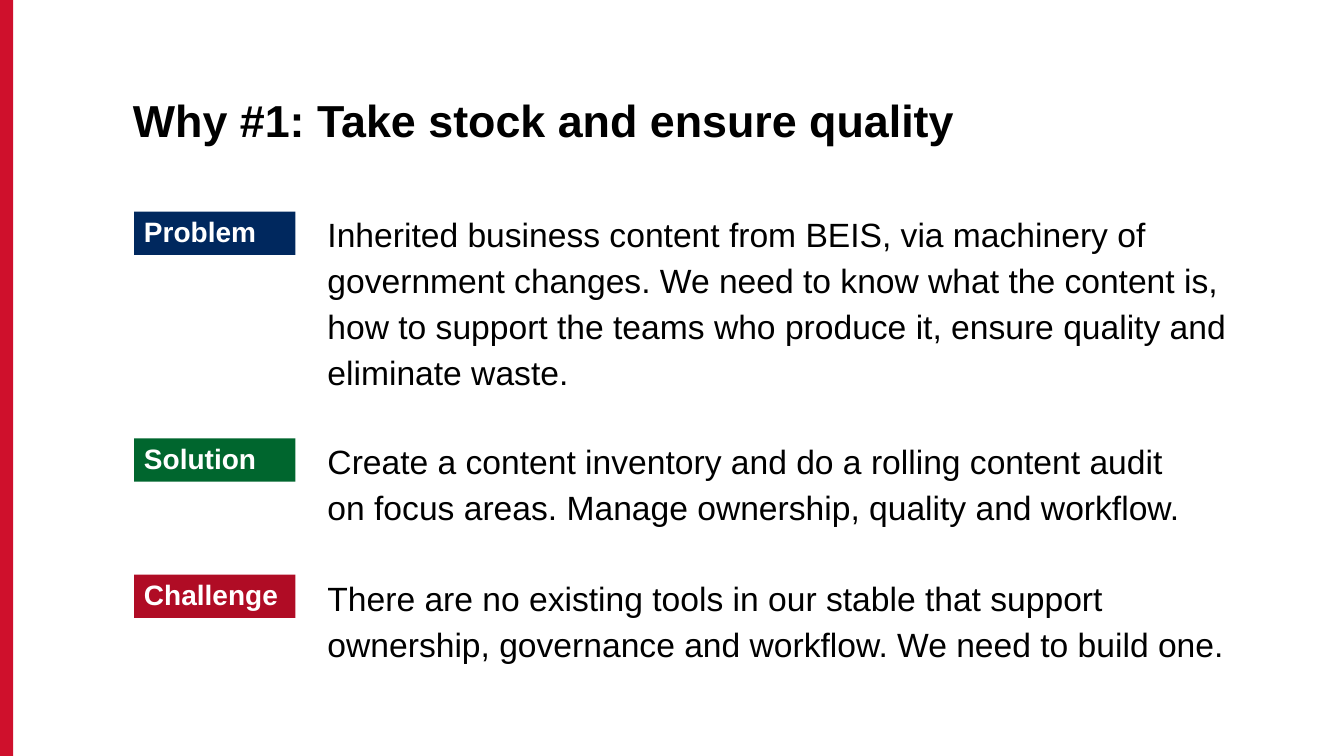
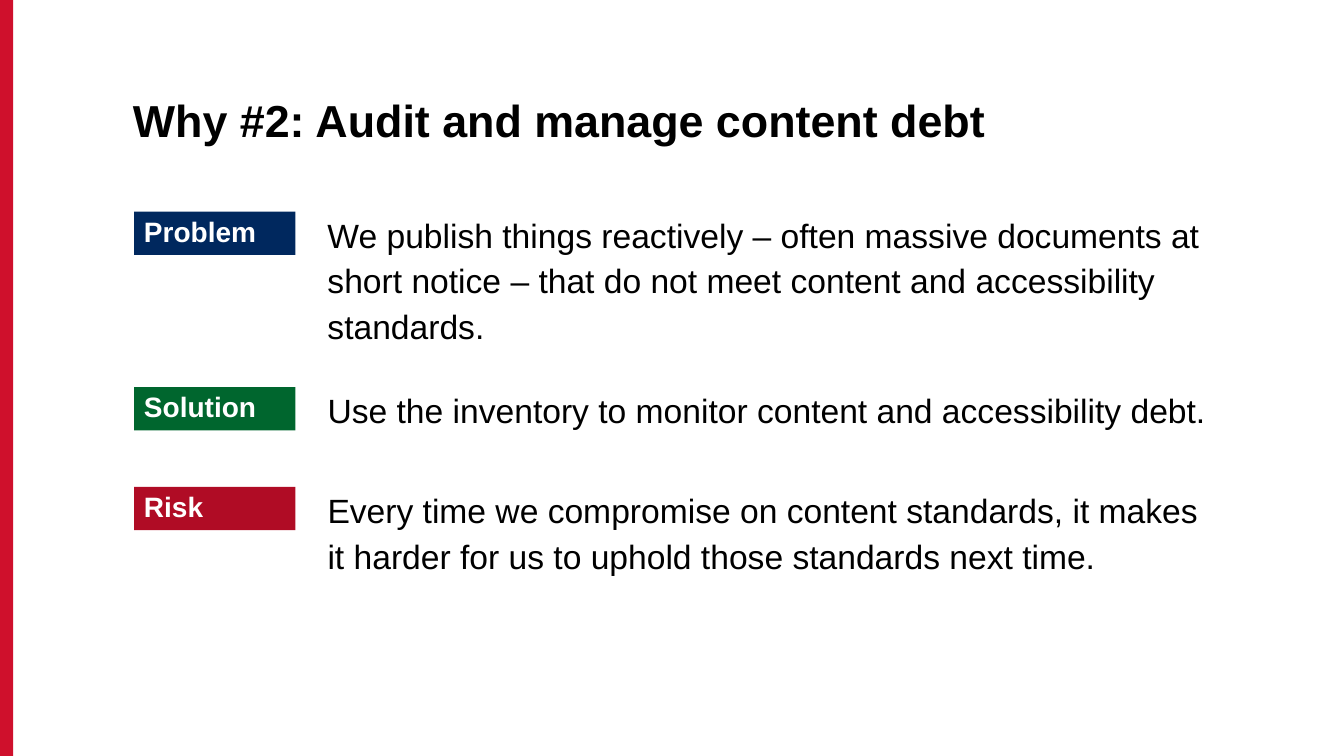
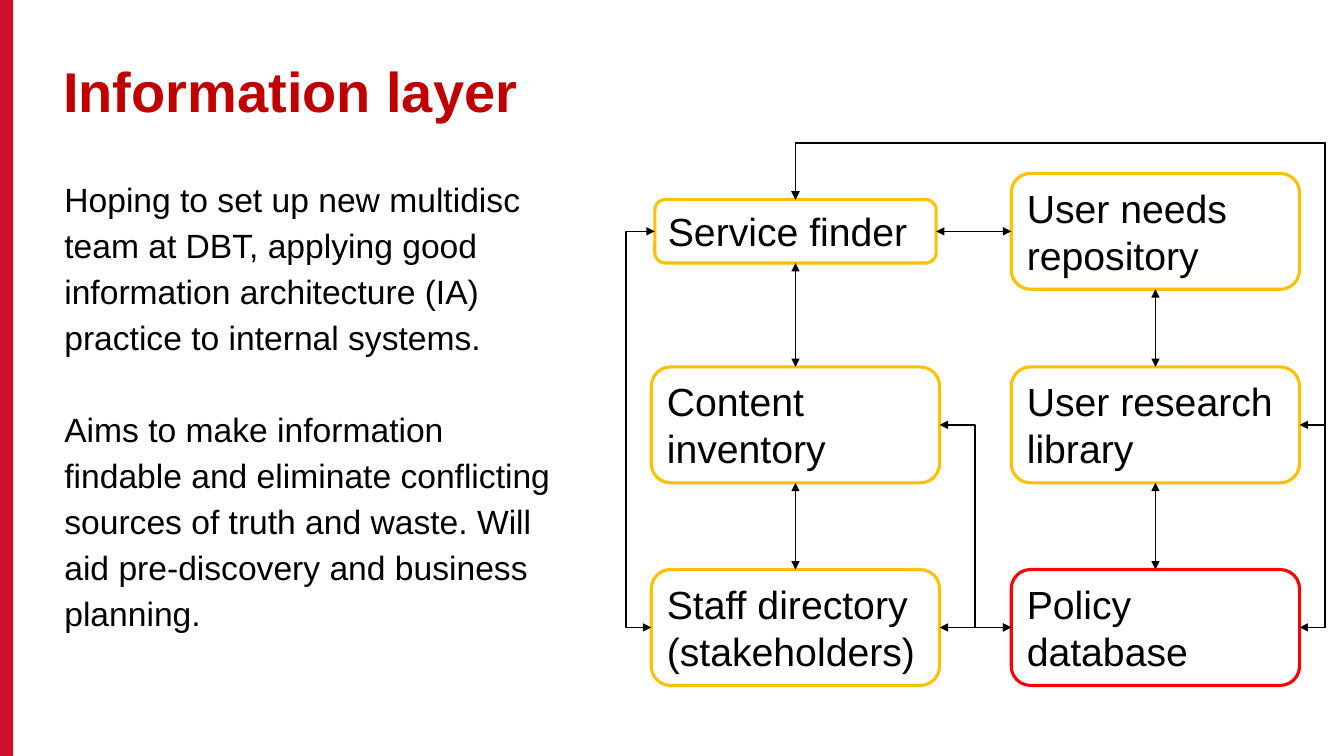
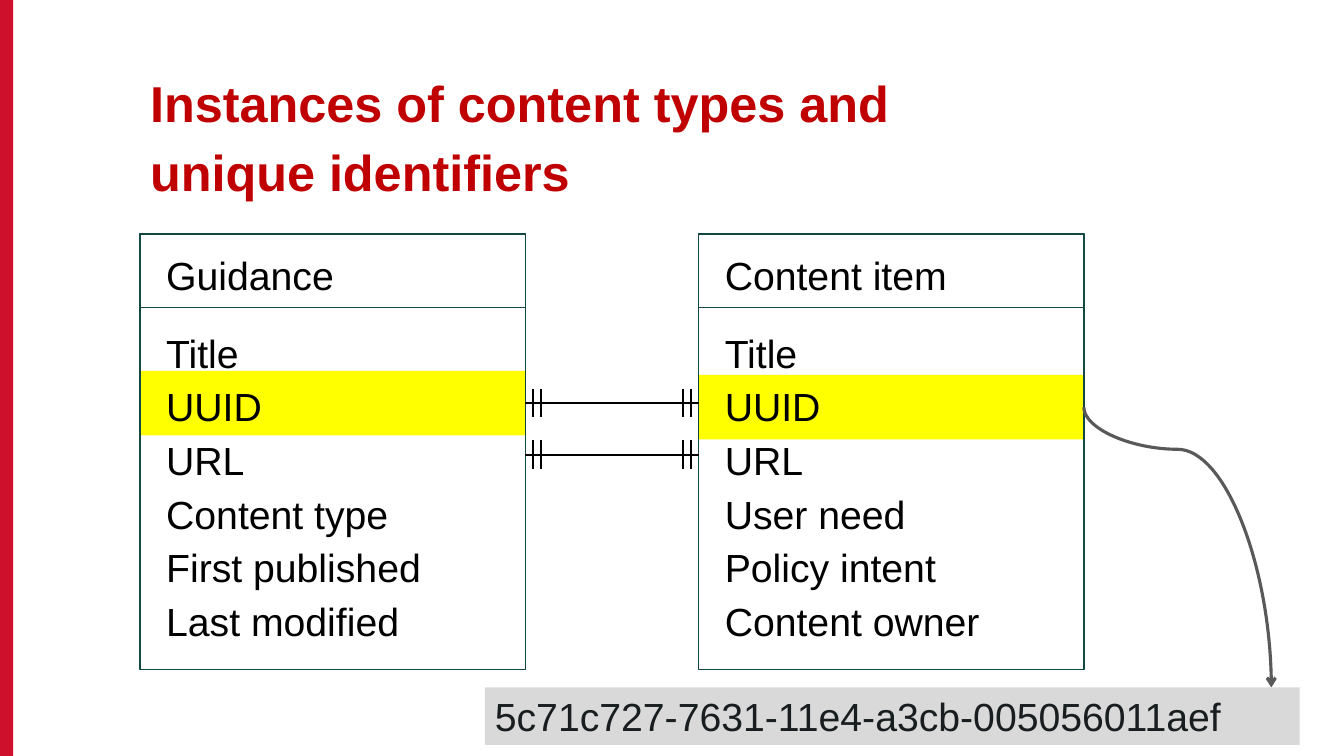
from lxml import etree
from pptx import Presentation, util as u
from pptx.dml.color import RGBColor
from pptx.enum import shapes, text
from pptx.oxml.ns import qn

W, H = 13.33, 7.5
FONT = "Arial"
C = dict(band="CF102C", title="C00000", black="000000", white="FFFFFF",
         navy="00285E", green="00662E", red="B00C25", amber="FFC000",
         alert="FF0000", frame="124742", yellow="FFFF00", grey="D9D9D9",
         curve="595959", code="181D1F")
TOP, LEFT, BOTTOM, RIGHT = range(4)

WHYS = [
    ("Why #1: Take stock and ensure quality", [
        ("Problem", "navy", 2.1, (1.86, 9.34, 2.24),
         "Inherited business content from BEIS, via machinery of government changes. We need to know what the content is, how to support the teams who produce it, ensure quality and eliminate waste."),
        ("Solution", "green", 4.35, (4.1, 8.77, 1.35),
         "Create a content inventory and do a rolling content audit on focus areas. Manage ownership, quality and workflow."),
        ("Challenge", "red", 5.7, (5.46, 9.34, 1.35),
         "There are no existing tools in our stable that support ownership, governance and workflow. We need to build one."),
    ]),
    ("Why #2: Audit and manage content debt", [
        ("Problem", "navy", 2.1, (2.08, 9.34, 1.35),
         "We publish things reactively – often massive documents at short notice – that do not meet content and accessibility standards."),
        ("Solution", "green", 3.84, (3.59, 9.08, 0.89),
         "Use the inventory to monitor content and accessibility debt."),
        ("Risk", "red", 4.83, (4.65, 9.08, 1.22),
         "Every time we compromise on content standards, it makes it harder for us to uphold those standards next time."),
    ]),
]

LAYER_TEXT = [
    "Hoping to set up new multidisc team at DBT, applying good information architecture (IA) practice to internal systems.",
    "Aims to make information findable and eliminate conflicting sources of truth and waste. Will aid pre-discovery and business planning.",
]
COLS, ROWS, NODE = (6.46, 10.03), (1.72, 3.64, 5.65), (2.86, 1.15)
NODES = {
    "needs": ("User needs repository", 1, 0, NODE, "amber"),
    "research": ("User research library", 1, 1, NODE, "amber"),
    "inventory": ("Content inventory", 0, 1, NODE, "amber"),
    "staff": ("Staff directory (stakeholders)", 0, 2, NODE, "amber"),
    "policy": ("Policy database", 1, 2, NODE, "alert"),
    "finder": ("Service finder", 0, 0, (2.79, 0.63), "amber"),
}
LINKS = [
    ("finder", LEFT, "staff", LEFT, (6.21,)),
    ("inventory", TOP, "finder", BOTTOM, ()),
    ("inventory", BOTTOM, "staff", TOP, ()),
    ("needs", BOTTOM, "research", TOP, ()),
    ("inventory", RIGHT, "policy", LEFT, (9.67,)),
    ("staff", RIGHT, "policy", LEFT, ()),
    ("finder", TOP, "policy", RIGHT, (1.42, 13.14)),
    ("finder", TOP, "research", RIGHT, (1.42, 13.14)),
    ("research", BOTTOM, "policy", TOP, ()),
    ("finder", RIGHT, "needs", LEFT, ()),
]

ENTITIES = [
    (1.39, 3.68, "Guidance",
     ["Title", "UUID", "URL", "Content type", "First published", "Last modified"]),
    (6.93, 3.72, "Content item",
     ["Title", "UUID", "URL", "User need", "Policy intent", "Content owner"]),
]
ENTITY_W = 3.82
UUID = "5c71c727-7631-11e4-a3cb-005056011aef"


def rgb(name):
    return RGBColor.from_string(C[name])


def inches(*values):
    return [u.Inches(v) for v in values]


def write(sp, paras, size, color="black", bold=False, spacing=1.0,
          anchor=text.MSO_ANCHOR.MIDDLE, gap=0):
    tf = sp.text_frame
    tf.word_wrap = True
    tf.vertical_anchor = anchor
    for i, line in enumerate(paras):
        p = tf.add_paragraph() if i else tf.paragraphs[0]
        p.text = line
        p.alignment = text.PP_ALIGN.LEFT
        p.line_spacing = spacing
        if i and gap:
            p.space_before = u.Pt(gap)
        f = p.font
        f.name, f.size, f.bold = FONT, u.Pt(size), bold
        f.color.rgb = rgb(color)


def add_text(s, box, paras, size, **style):
    sp = s.shapes.add_textbox(*inches(*box))
    write(sp, paras, size, **style)
    return sp


def add_box(s, box, fill=None, line=None, weight=1, kind="RECTANGLE"):
    sp = s.shapes.add_shape(shapes.MSO_SHAPE[kind], *inches(*box))
    sp.shadow.inherit = False
    if fill:
        sp.fill.solid()
        sp.fill.fore_color.rgb = rgb(fill)
    else:
        sp.fill.background()
    if line:
        sp.line.color.rgb = rgb(line)
        sp.line.width = u.Pt(weight)
    else:
        sp.line.fill.background()
    return sp


def add_line(s, start, end, color="black", weight=1.0, kind="STRAIGHT",
             head=None, tail=None):
    c = s.shapes.add_connector(shapes.MSO_CONNECTOR[kind], *inches(*start, *end))
    c.line.color.rgb = rgb(color)
    c.line.width = u.Pt(weight)
    for tag, arrow in (("a:headEnd", head), ("a:tailEnd", tail)):
        if arrow:
            etree.SubElement(c.line._ln, qn(tag), type=arrow)
    etree.SubElement(c._element.spPr, qn("a:effectLst"))
    return c


def bend(c, preset, *shares):
    geom = c._element.spPr.find(qn("a:prstGeom"))
    geom.set("prst", preset)
    guides = geom.find(qn("a:avLst"))
    if guides is None:
        guides = etree.SubElement(geom, qn("a:avLst"))
    for i, share in enumerate(shares, 1):
        etree.SubElement(guides, qn("a:gd"), name=f"adj{i}",
                         fmla=f"val {round(share * 100000)}")


def start_vertically(c):
    left, top, w, h = c.left, c.top, c.width, c.height
    c.left, c.top = left + (w - h) // 2, top + (h - w) // 2
    c.width, c.height = h, w
    xfrm = c._element.spPr.find(qn("a:xfrm"))
    xfrm.set("rot", "16200000")
    xfrm.set("flipH", "1")


def link(s, a, a_side, b, b_side, lanes):
    c = add_line(s, (0, 0), (1, 1), kind="ELBOW" if lanes else "STRAIGHT",
                 head="triangle", tail="triangle")
    c.begin_connect(a, a_side)
    c.end_connect(b, b_side)
    x0, y0, x1, y1 = c.begin_x, c.begin_y, c.end_x, c.end_y
    if len(lanes) == 1:
        bend(c, "bentConnector3", (u.Inches(lanes[0]) - x0) / (x1 - x0))
    elif lanes:
        y, x = inches(*lanes)
        bend(c, "bentConnector4", (y - y0) / (y1 - y0), (x - x0) / (x1 - x0))
        start_vertically(c)


def new_slide(prs, title, box=(1.22, 0.67, 11.5, 1.09), size=32,
              color="black", spacing=0.9):
    s = prs.slides.add_slide(prs.slide_layouts[6])
    add_box(s, (0, 0, 0.13, H), "band")
    add_text(s, box, [title], size, color=color, bold=True, spacing=spacing)
    return s


def why_slide(prs, title, rows):
    s = new_slide(prs, title)
    for label, color, label_top, (top, width, height), body in rows:
        tag = add_box(s, (1.33, label_top, 1.6, 0.43), color)
        write(tag, [label], 20, "white", bold=True, spacing=0.9)
        add_text(s, (3.15, top, width, height), [body], 24, spacing=1.14)


def layer_slide(prs):
    s = new_slide(prs, "Information layer", (0.53, 0.39, 11.5, 1.09), 40, "title")
    body = add_text(s, (0.54, 1.72, 5.06, 5.03), LAYER_TEXT, 24, spacing=1.14,
                    anchor=text.MSO_ANCHOR.TOP, gap=33)
    body.text_frame.margin_top = 0
    nodes = {}
    for key, (label, col, row, (w, h), color) in NODES.items():
        box = (COLS[col] + (NODE[0] - w) / 2, ROWS[row] + (NODE[1] - h) / 2, w, h)
        nodes[key] = add_box(s, box, line=color, weight=2.25, kind="ROUNDED_RECTANGLE")
        write(nodes[key], [label], 28, anchor=text.MSO_ANCHOR.TOP)
    for a, a_side, b, b_side, lanes in LINKS:
        link(s, nodes[a], a_side, nodes[b], b_side, lanes)


def entity_slide(prs):
    s = new_slide(prs, "Instances of content types and\vunique identifiers",
                  (1.39, 0.52, 10.04, 1.6), 36, "title", 1.14)
    for x, mark_top, name, fields in ENTITIES:
        add_box(s, (x, mark_top, ENTITY_W, 0.64), "yellow")
        for height in (4.32, 0.73):
            add_box(s, (x, 2.32, ENTITY_W, height), line="frame")
        for top, height, lines in ((2.38, 0.59, [name]), (3.15, 3.28, fields)):
            add_text(s, (x + 0.16, top, 3.5, height), lines, 28, spacing=1.14,
                     anchor=text.MSO_ANCHOR.TOP)
    x0, x1 = ENTITIES[0][0] + ENTITY_W, ENTITIES[1][0]
    for y in (4.51, 4.0):
        add_line(s, (x0, y), (x1, y), weight=1.5)
        for x in (x0 + 0.08, x0 + 0.16, x1 - 0.16, x1 - 0.08):
            add_line(s, (x, y - 0.14), (x, y + 0.14), weight=1.5)
    c = add_line(s, (x1 + ENTITY_W, 4.04), (12.61, 6.82), "curve", 2.25, "CURVE",
                 tail="arrow")
    bend(c, "curvedConnector3", 0.15)
    start_vertically(c)
    write(add_box(s, (4.81, 6.82, 8.08, 0.57), "grey"), [UUID], 28, "code")


def main():
    prs = Presentation()
    prs.slide_width, prs.slide_height = inches(W, H)
    for title, rows in WHYS:
        why_slide(prs, title, rows)
    layer_slide(prs)
    entity_slide(prs)
    prs.save("out.pptx")


if __name__ == "__main__":
    main()
